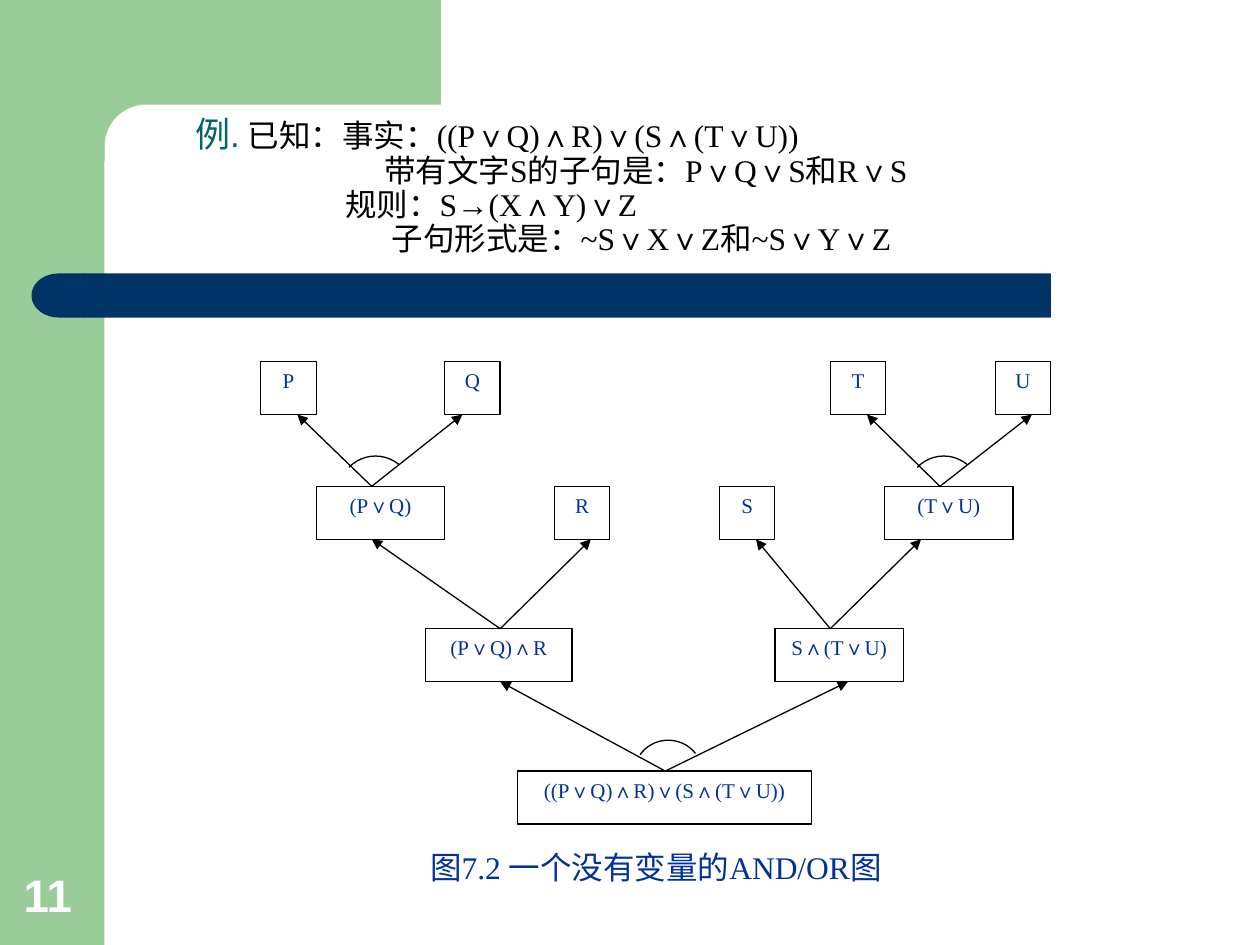
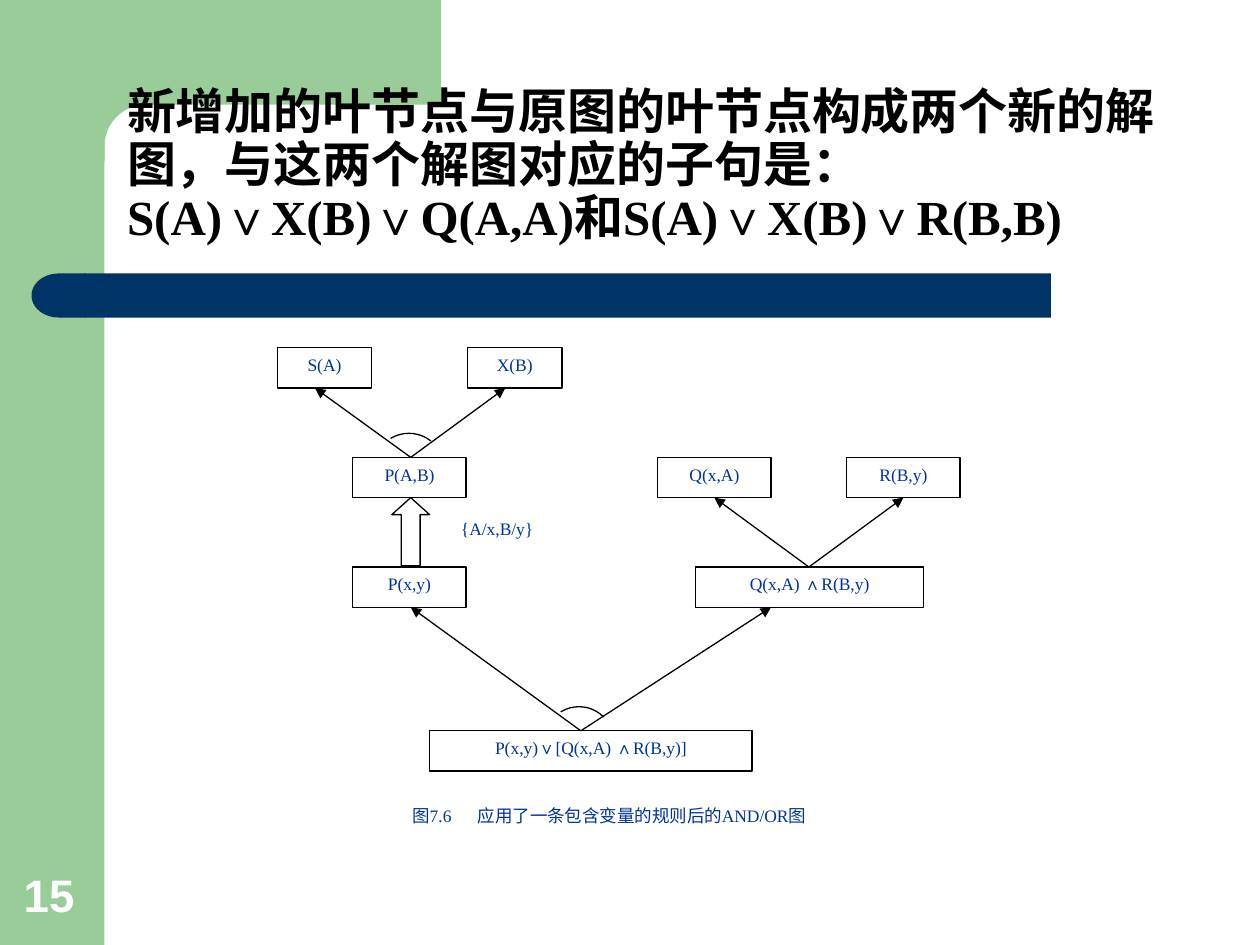
import math

from pptx import Presentation
from pptx.dml.color import RGBColor
from pptx.enum import shapes, text
from pptx.oxml.ns import qn
from pptx.util import Inches, Pt
from lxml import etree

GREEN = RGBColor(0x99, 0xCC, 0x99)
NAVY = RGBColor(0x00, 0x33, 0x66)
TEAL = RGBColor(0x00, 0x66, 0x66)
BLUE = RGBColor(0x00, 0x33, 0x99)
BLACK = RGBColor(0, 0, 0)
WHITE = RGBColor(255, 255, 255)

SERIF, SANS = "Times New Roman", "Arial"
HANGING = 0.38
PRESET = shapes.MSO_SHAPE
ALIGN = text.PP_ALIGN

# A node is (row, left, width, label). A branch is
# (parent row, start x, target xs in the row above, AND arc or None).
# An arc is (left end, right end, rise).
FACT_GRAPH = {
    "number": "11",
    "title_at": (1.45, 1.0),
    "title_size": 18,
    "title_bold": False,
    "title": [
        (0, [("例.", {"size": 20, "font": SANS, "color": TEAL}),
             (" 已知：事实：((P∨Q)∧R)∨(S∧(T∨U))", {})]),
        (1.5, "带有文字S的子句是：P∨Q∨S和R∨S"),
        (1.19, "规则：S→(X∧Y)∨Z"),
        (1.56, "子句形式是：~S∨X∨Z和~S∨Y∨Z"),
    ],
    "row_tops": [2.87, 3.86, 4.99, 6.12],
    "node_height": 0.42,
    "node_size": 12,
    "nodes": [
        (0, 2.07, 0.44, "P"), (0, 3.53, 0.44, "Q"),
        (0, 6.59, 0.44, "T"), (0, 7.9, 0.44, "U"),
        (1, 2.51, 1.02, "(P∨Q)"), (1, 4.4, 0.44, "R"),
        (1, 5.71, 0.44, "S"), (1, 7.02, 1.02, "(T∨U)"),
        (2, 3.38, 1.16, "(P∨Q)∧R"), (2, 6.15, 1.02, "S∧(T∨U)"),
        (3, 4.11, 2.33, "((P∨Q)∧R)∨(S∧(T∨U))"),
    ],
    "branches": [
        (1, 2.95, (2.36, 3.67), ((2.77, 3.71), (3.17, 3.69), 0.08)),
        (1, 7.46, (6.88, 8.19), ((7.28, 3.71), (7.68, 3.69), 0.08)),
        (2, 3.97, (2.95, 4.69), None),
        (2, 6.59, (6.0, 7.31), None),
        (3, 5.28, (3.97, 6.73), ((5.08, 5.99), (5.52, 5.98), 0.11)),
    ],
    "caption_at": (3.24, 6.68, 3.93, 0.42),
    "caption_size": 18,
    "caption": "图7.2 一个没有变量的AND/OR图",
}

RULE_GRAPH = {
    "number": "15",
    "title_at": (0.91, 0.91),
    "title_size": 28,
    "title_bold": True,
    "title": [(0, "新增加的叶节点与原图的叶节点构成两个新的解图，与这两个解图对应的"
                  "子句是：S(A)∨X(B)∨Q(A,A)和S(A)∨X(B)∨R(B,B)")],
    "row_tops": [2.76, 3.63, 4.5, 5.8],
    "node_height": 0.32,
    "node_size": 10,
    "nodes": [
        (0, 2.2, 0.75, "S(A)"), (0, 3.71, 0.75, "X(B)"),
        (1, 2.8, 0.9, "P(A,B)"), (1, 5.22, 0.9, "Q(x,A)"), (1, 6.72, 0.9, "R(B,y)"),
        (2, 2.8, 0.9, "P(x,y)"), (2, 5.52, 1.81, "Q(x,A) ∧R(B,y)"),
        (3, 3.41, 2.56, "P(x,y)∨[Q(x,A) ∧R(B,y)]"),
    ],
    "branches": [
        (1, 3.26, (2.5, 4.01), ((3.1, 3.48), (3.42, 3.5), 0.05)),
        (2, 6.42, (5.67, 7.17), None),
        (3, 4.61, (3.26, 6.12), ((4.45, 5.65), (4.79, 5.69), 0.06)),
    ],
    "caption_at": (2.65, 6.34, 4.37, 0.32),
    "caption_size": 10,
    "caption": [("图7.6", {}), (" ", {"tracking": 12.5}),
                ("应用了一条包含变量的规则后的AND/OR图", {})],
}

MATCH_ARROW = (3.11, 3.95, 0.3, 0.54)
SUBSTITUTION = ("{A/x,B/y}", (3.56, 4.06, 1.05, 0.33))


def format_span(span, size, font=SERIF, color=BLACK, bold=False, tracking=0):
    span.font.size = Pt(size)
    span.font.name = font
    span.font.color.rgb = color
    span.font.bold = bold
    if tracking:
        span._r.get_or_add_rPr().set("spc", str(int(tracking * 100)))


def write(box, lines, align=ALIGN.LEFT, anchor=text.MSO_ANCHOR.TOP, hanging=0,
          spacing=None, before=0, **style):
    """Fill box with (indent, content) lines; content is text or (text, style) spans."""
    frame = box.text_frame
    frame.word_wrap = True
    frame.auto_size = text.MSO_AUTO_SIZE.NONE
    frame.vertical_anchor = anchor
    for i, (indent, content) in enumerate(lines):
        para = frame.add_paragraph() if i else frame.paragraphs[0]
        para.alignment = align
        para.line_spacing = spacing
        para.space_before = Pt(before)
        properties = para._p.get_or_add_pPr()
        properties.set("marL", str(Inches(indent + hanging)))
        properties.set("indent", str(Inches(-hanging)))
        spans = [(content, {})] if isinstance(content, str) else content
        for words, override in spans:
            span = para.add_run()
            span.text = words
            format_span(span, **{**style, **override})


def write_label(box, content, size, align=ALIGN.CENTER):
    write(box, [(0, content)], align=align, hanging=HANGING, before=size * 0.625,
          size=size, color=BLUE)


def add_textbox(page, *at):
    return page.shapes.add_textbox(*map(Inches, at))


def paint(shape, fill=None, line=None):
    shape.shadow.inherit = False
    if fill is None:
        shape.fill.background()
    else:
        shape.fill.solid()
        shape.fill.fore_color.rgb = fill
    if line is None:
        shape.line.fill.background()
    else:
        shape.line.color.rgb = line
        shape.line.width = Pt(0.75)


def add_preset(page, preset, at, fill=None, line=None):
    shape = page.shapes.add_shape(preset, *map(Inches, at))
    paint(shape, fill, line)
    return shape


def add_arrow(page, start, end):
    arrow = page.shapes.add_connector(shapes.MSO_CONNECTOR.STRAIGHT,
                                      *map(Inches, (*start, *end)))
    arrow.line.color.rgb = BLACK
    arrow.line.width = Pt(0.75)
    head = etree.SubElement(arrow.line._get_or_add_ln(), qn("a:tailEnd"))
    head.set("type", "triangle")
    etree.SubElement(arrow._element.spPr, qn("a:effectLst"))


def add_and_arc(page, left_end, right_end, rise):
    """Draw the circular arc that spans two points and bulges upward by rise."""
    (x1, y1), (x2, y2) = left_end, right_end
    half = math.dist(left_end, right_end) / 2
    radius = (half ** 2 + rise ** 2) / (2 * rise)
    tilt = math.atan2(y2 - y1, x2 - x1)
    drop = radius - rise
    x = (x1 + x2) / 2 - drop * math.sin(tilt)
    y = (y1 + y2) / 2 + drop * math.cos(tilt)
    arc = add_preset(page, PRESET.ARC, (x - radius, y - radius, 2 * radius, 2 * radius),
                     line=BLACK)
    sweep = math.degrees(math.asin(half / radius))
    top = 270 + math.degrees(tilt)
    # Angles are stored in 60000ths of a degree, adjustments in 100000ths.
    arc.adjustments[0] = (top - sweep) * 0.6
    arc.adjustments[1] = (top + sweep) * 0.6


def add_corner(page):
    """Draw the green top band with its rounded inner corner."""
    center, radius = 1.16, 0.33
    curve = [(center - radius * math.sin(a), center - radius * math.cos(a))
             for a in (math.radians(step) for step in range(0, 91, 6))]
    outline = [(3.5, 0), (3.5, 0.83), *curve, (0.83, 1.28), (0.5, 1.28), (0.5, 0)]
    points = [(Inches(x), Inches(y)) for x, y in outline]
    builder = page.shapes.build_freeform(*points[0])
    builder.add_line_segments(points[1:], close=True)
    paint(builder.convert_to_shape(), GREEN)


def add_frame(page, content):
    """Add the bands, slide number and title that every slide has."""
    add_preset(page, PRESET.RECTANGLE, (0, 0, 0.83, 7.5), GREEN)
    add_corner(page)
    bar = add_preset(page, PRESET.ROUNDED_RECTANGLE, (0.67, 2.17, 7.67, 0.35), NAVY)
    bar.adjustments[0] = 0
    cap = add_preset(page, PRESET.FLOWCHART_DELAY, (0.25, 2.17, 0.43, 0.35), NAVY)
    cap.rotation = 180
    write(add_textbox(page, 0.09, 6.83, 0.64, 0.53), [(0, content["number"])],
          anchor=text.MSO_ANCHOR.BOTTOM, size=26, font=SANS, color=WHITE, bold=True)
    write(add_textbox(page, *content["title_at"], 8.51, 1.09), content["title"],
          anchor=text.MSO_ANCHOR.BOTTOM, spacing=0.9,
          size=content["title_size"], bold=content["title_bold"])


def add_graph(page, content):
    tops, height = content["row_tops"], content["node_height"]
    for row, left, width, label in content["nodes"]:
        node = add_preset(page, PRESET.RECTANGLE, (left, tops[row], width, height),
                          WHITE, BLACK)
        write_label(node, label, content["node_size"])
    for row, start, targets, arc in content["branches"]:
        for target in targets:
            add_arrow(page, (start, tops[row]), (target, tops[row - 1] + height))
        if arc:
            add_and_arc(page, *arc)
    write_label(add_textbox(page, *content["caption_at"]), content["caption"],
                content["caption_size"])


def add_match(page):
    """Add the block arrow for the matched rule and its substitution."""
    arrow = add_preset(page, PRESET.UP_ARROW, MATCH_ARROW, WHITE, BLACK)
    arrow.adjustments[0] = 0.5
    arrow.adjustments[1] = 0.45
    label, at = SUBSTITUTION
    box = add_preset(page, PRESET.RECTANGLE, at, WHITE)
    write_label(box, label, 10, align=ALIGN.JUSTIFY)


def main():
    deck = Presentation()
    deck.slide_width, deck.slide_height = Inches(10), Inches(7.5)
    for content in (FACT_GRAPH, RULE_GRAPH):
        page = deck.slides.add_slide(deck.slide_layouts[6])
        add_frame(page, content)
        add_graph(page, content)
    add_match(page)
    deck.save("out.pptx")


if __name__ == "__main__":
    main()
